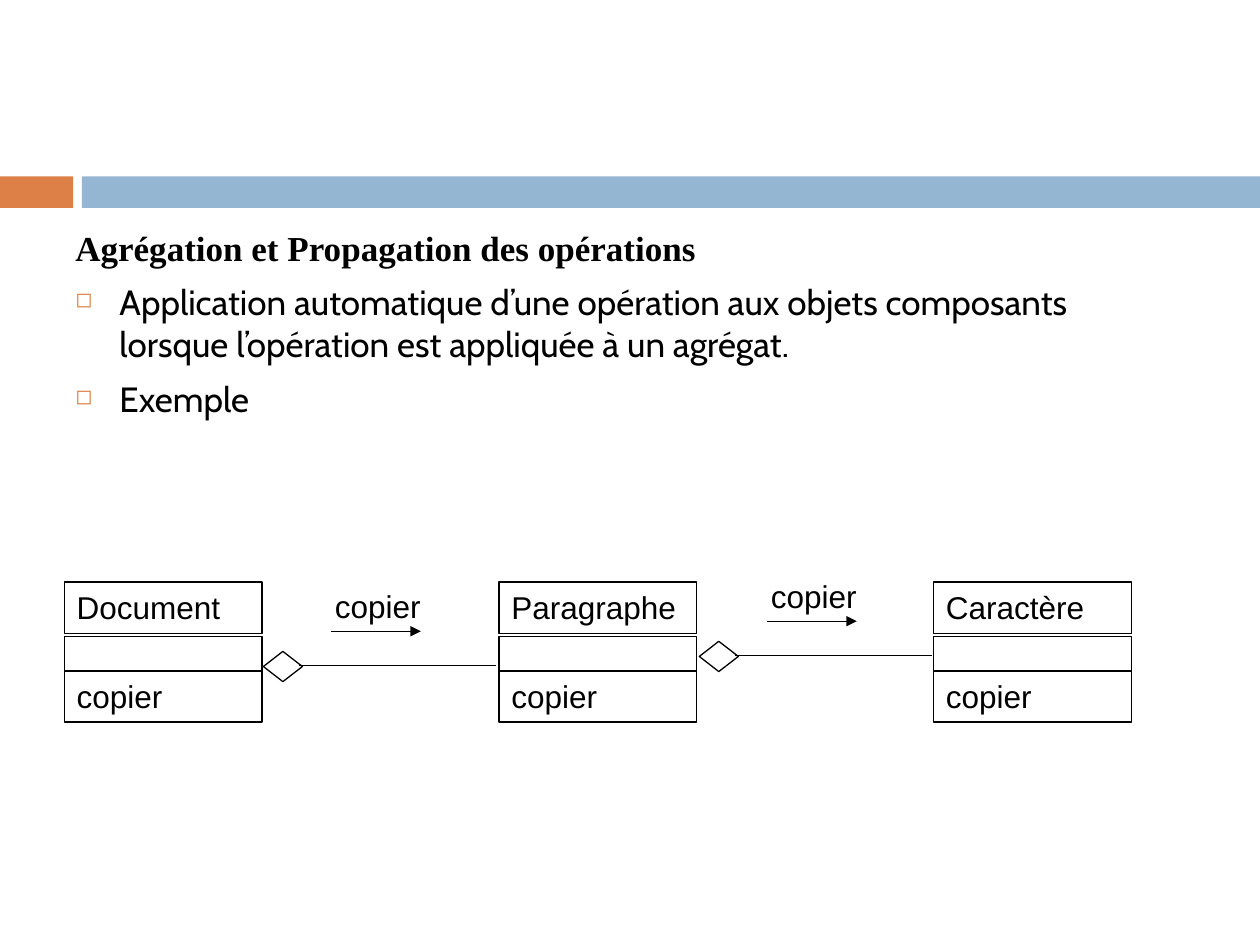
from lxml import etree
from pptx import Presentation
from pptx.dml.color import RGBColor
from pptx.enum.shapes import MSO_CONNECTOR, MSO_SHAPE
from pptx.enum.text import MSO_ANCHOR, PP_ALIGN
from pptx.oxml.ns import qn
from pptx.util import Inches, Pt

RECTANGLE, DIAMOND = MSO_SHAPE.RECTANGLE, MSO_SHAPE.DIAMOND
STRAIGHT = MSO_CONNECTOR.STRAIGHT
TOP, LEFT = MSO_ANCHOR.TOP, PP_ALIGN.LEFT

COLORS = {"accent": "DD8047", "band": "94B6D2", "ink": "000000"}
BANDS = [(0, 0.58, "accent"), (0.65, 9.35, "band")]
HEADING = "Agrégation et Propagation des opérations"
BULLETS = [
    "Application automatique d’une opération aux objets composants "
    "lorsque l’opération est appliquée à un agrégat.",
    "Exemple",
]
OPERATION = "copier"
CLASSES = ["Document", "Paragraphe", "Caractère"]
CLASS_LEFT, CLASS_STEP, CLASS_WIDTH = 0.51, 3.45, 1.57
LINKS = [(2.09, 5.17), (5.55, 5.09)]


def color(name):
    return RGBColor.from_string(COLORS[name])


def add_box(page, kind, left, top, width, height, fill=None):
    box = page.shapes.add_shape(
        kind, Inches(left), Inches(top), Inches(width), Inches(height))
    box.shadow.inherit = False
    if fill:
        box.fill.solid()
        box.fill.fore_color.rgb = color(fill)
        box.line.fill.background()
    else:
        box.fill.background()
        box.line.color.rgb = color("ink")
        box.line.width = Pt(0.75)
    return box


def add_line(page, left, right, top, arrow=False):
    line = page.shapes.add_connector(
        STRAIGHT, Inches(left), Inches(top), Inches(right), Inches(top))
    line.line.color.rgb = color("ink")
    line.line.width = Pt(0.75)
    if arrow:
        etree.SubElement(line.line._get_or_add_ln(), qn("a:tailEnd"), type="triangle")
    etree.SubElement(line._element.spPr, qn("a:effectLst"))


def style(paragraph, font, size, bold=False):
    paragraph.alignment = LEFT
    paragraph.font.name = font
    paragraph.font.size = Pt(size)
    paragraph.font.bold = bold
    paragraph.font.color.rgb = color("ink")


def write_label(box, text):
    frame = box.text_frame
    frame.word_wrap = True
    frame.vertical_anchor = TOP
    frame.text = text
    style(frame.paragraphs[0], "Arial", 18)


def add_text(page, left, top, width, height):
    box = page.shapes.add_textbox(
        Inches(left), Inches(top), Inches(width), Inches(height))
    box.text_frame.word_wrap = True
    return box


def add_bullet(paragraph):
    props = paragraph._p.get_or_add_pPr()
    tint = etree.SubElement(props, qn("a:buClr"))
    etree.SubElement(tint, qn("a:srgbClr"), val=COLORS["accent"])
    etree.SubElement(props, qn("a:buSzPct"), val="60000")
    etree.SubElement(props, qn("a:buChar"), char="◻")


def add_body(page):
    frame = add_text(page, 0.5, 1.75, 9, 1.76).text_frame
    for index, text in enumerate([HEADING] + BULLETS):
        paragraph = frame.add_paragraph() if index else frame.paragraphs[0]
        paragraph.text = text
        paragraph.space_before = Pt(7)
        props = paragraph._p.get_or_add_pPr()
        props.set("marL", str(Inches(0.35)))
        props.set("indent", str(-Inches(0.35)))
        if index:
            add_bullet(paragraph)
        style(paragraph, "Cabin" if index else "Times New Roman", 20, not index)


def add_class(page, left, name):
    for top, height, text in [(4.62, 0.41, name), (5.32, 0.41, OPERATION), (5.05, 0.28, "")]:
        box = add_box(page, RECTANGLE, left, top, CLASS_WIDTH, height)
        if text:
            write_label(box, text)


def add_link(page, left, top):
    add_box(page, DIAMOND, left, top, 0.31, 0.24)
    add_line(page, left + 0.28, left + 1.85, top + 0.11)
    add_line(page, left + 0.54, left + 1.25, top - 0.16, arrow=True)
    write_label(add_text(page, left + 0.47, top - 0.56, 1.02, 0.4), OPERATION)


deck = Presentation()
deck.slide_width, deck.slide_height = Inches(10), Inches(7.5)
page = deck.slides.add_slide(deck.slide_layouts[6])
for left, width, fill in BANDS:
    add_box(page, RECTANGLE, left, 1.4, width, 0.25, fill)
add_body(page)
for index, name in enumerate(CLASSES):
    add_class(page, CLASS_LEFT + index * CLASS_STEP, name)
for left, top in LINKS:
    add_link(page, left, top)
deck.save("out.pptx")
